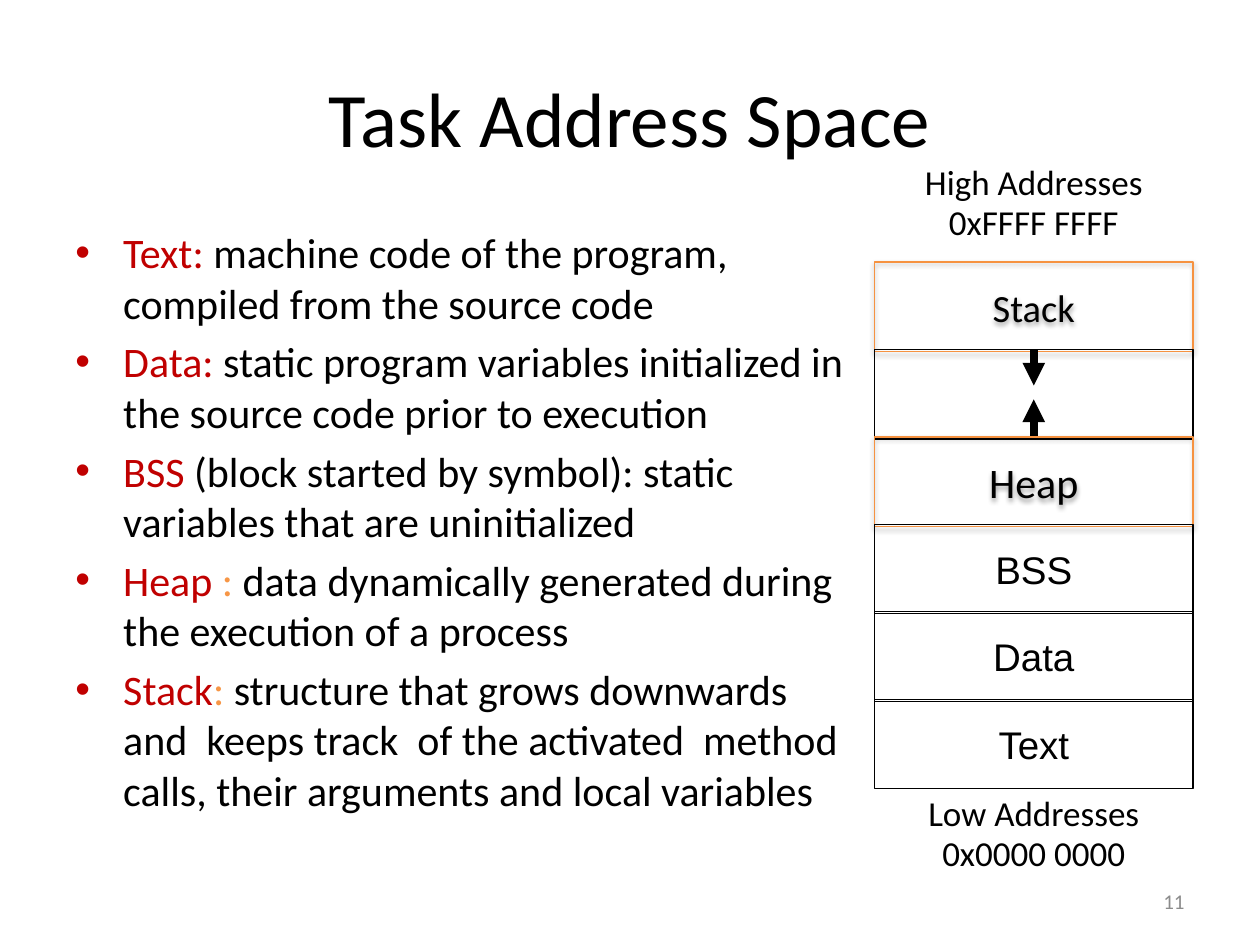
from lxml.etree import SubElement
from pptx import Presentation
from pptx.dml.color import RGBColor
from pptx.enum.shapes import MSO_CONNECTOR, MSO_SHAPE
from pptx.enum.text import MSO_ANCHOR, PP_ALIGN
from pptx.oxml.ns import qn
from pptx.util import Inches, Pt

BLACK, RED, ORANGE, GRAY = "000000", "C00000", "F79646", "8C8C8C"
EDGE = "F69240"
LEFT, TOP, LAST, WIDE, HIGH = 6.94, 2.08, 5.55, 2.53, 0.71

POINTS = [
    [("Text: ", RED), ("machine code of the program, compiled from the source code", BLACK)],
    [("Data: ", RED), ("static program variables initialized in the source code prior to execution", BLACK)],
    [("BSS", RED), (" (block started by symbol): static variables that are uninitialized", BLACK)],
    [("Heap", RED), (" : ", ORANGE), ("data dynamically generated during the execution of a process", BLACK)],
    [("Stack", RED), (": ", ORANGE),
     ("structure that grows downwards and  keeps track  of the activated  method calls, "
      "their arguments and local variables", BLACK)],
]
PARTS = [
    ("Stack", 22, "Calibri", EDGE),
    ("", 22, "Calibri", BLACK),
    ("Heap", 24, "Calibri", EDGE),
    ("BSS", 22, "Arial", BLACK),
    ("Data", 22, "Arial", BLACK),
    ("Text", 22, "Arial", BLACK),
]
STEP = (LAST - TOP) / (len(PARTS) - 1)


def color(code):
    """Turn a hex string into a colour."""
    return RGBColor.from_string(code)


def apply(item, form):
    """Set each attribute named in a dict."""
    for name, value in form.items():
        setattr(item, name, value)


def place(item, box):
    """Move and size a shape, in inches."""
    apply(item, dict(zip(("left", "top", "width", "height"), map(Inches, box))))


def write(para, runs, size, face="Calibri", **form):
    """Fill a paragraph with coloured runs."""
    apply(para, form)
    for words, code in runs:
        run = para.add_run()
        run.text = words
        apply(run.font, {"size": Pt(size), "name": face})
        run.font.color.rgb = color(code)


def add_text(slide, box, paras, size, anchor=MSO_ANCHOR.TOP, **form):
    """Add a wrapped text box and return its paragraphs."""
    frame = slide.shapes.add_textbox(*map(Inches, box)).text_frame
    apply(frame, {"word_wrap": True, "vertical_anchor": anchor})
    for i, runs in enumerate(paras):
        para = frame.add_paragraph() if i else frame.paragraphs[0]
        write(para, runs, size, **form)
    return frame.paragraphs


def add_bullet(para):
    """Give a paragraph a hanging bullet."""
    props = para._p.get_or_add_pPr()
    props.set("marL", str(Inches(0.38)))
    props.set("indent", str(Inches(-0.38)))
    SubElement(props, qn("a:buFont"), typeface="Arial")
    SubElement(props, qn("a:buChar"), char="•")


def add_shade(shape):
    """Give a shape a soft shadow below it."""
    effects = shape._element.spPr.find(qn("a:effectLst"))
    shade = SubElement(effects, qn("a:outerShdw"), blurRad=str(Pt(3.1)),
                       dist=str(Pt(1.6)), dir="5400000", rotWithShape="0")
    tint = SubElement(shade, qn("a:srgbClr"), val=BLACK)
    SubElement(tint, qn("a:alpha"), val="38000")


def add_part(slide, row, label, size, face, edge):
    """Add one segment of the address space."""
    box = LEFT, TOP + row * STEP, WIDE, HIGH
    shape = slide.shapes.add_shape(MSO_SHAPE.RECTANGLE, *map(Inches, box))
    shape.fill.background()
    shape.line.color.rgb = color(edge)
    shape.line.width = Pt(0.75)
    shape.shadow.inherit = False
    if edge == EDGE:
        add_shade(shape)
    if label:
        frame = shape.text_frame
        apply(frame, {"word_wrap": False, "vertical_anchor": MSO_ANCHOR.MIDDLE})
        write(frame.paragraphs[0], [(label, BLACK)], size, face, alignment=PP_ALIGN.CENTER)


def add_arrow(slide, start, end):
    """Add a thick vertical arrow in the middle of the stack."""
    x = LEFT + WIDE / 2
    line = slide.shapes.add_connector(MSO_CONNECTOR.STRAIGHT, *map(Inches, (x, start, x, end)))
    line.line.color.rgb = color(BLACK)
    line.line.width = Pt(4.31)
    SubElement(line.line._get_or_add_ln(), qn("a:tailEnd"), type="triangle")
    SubElement(line._element.spPr, qn("a:effectLst"))


def main():
    """Build the slide and save it."""
    deck = Presentation()
    apply(deck, {"slide_width": Inches(10), "slide_height": Inches(7.5)})
    slide = deck.slides.add_slide(deck.slide_layouts[5])
    title = slide.shapes.title
    place(title, (0.5, 0.3, 9, 1.25))
    title.text_frame.vertical_anchor = MSO_ANCHOR.MIDDLE
    write(title.text_frame.paragraphs[0], [("Task Address Space", BLACK)], 44,
          alignment=PP_ALIGN.CENTER)
    for para in add_text(slide, (0.5, 1.75, 6.33, 5.08), POINTS, 24, space_before=Pt(4.8)):
        add_bullet(para)
    add_text(slide, (7.17, 6.95, 2.33, 0.4), [[("11", GRAY)]], 12,
             MSO_ANCHOR.MIDDLE, alignment=PP_ALIGN.RIGHT)
    ends = [(6.26, "Low Addresses", "0x0000 0000"), (1.25, "High Addresses", "0xFFFF FFFF")]
    for top, *lines in ends:
        add_text(slide, (6.83, top, 2.75, 0.74), [[(words, BLACK)] for words in lines], 20,
                 alignment=PP_ALIGN.CENTER, line_spacing=0.95)
    for row, part in enumerate(PARTS):
        add_part(slide, row, *part)
    for start, end in ((2.78, 3.06), (3.46, 3.17)):
        add_arrow(slide, start, end)
    deck.save("out.pptx")


main()
